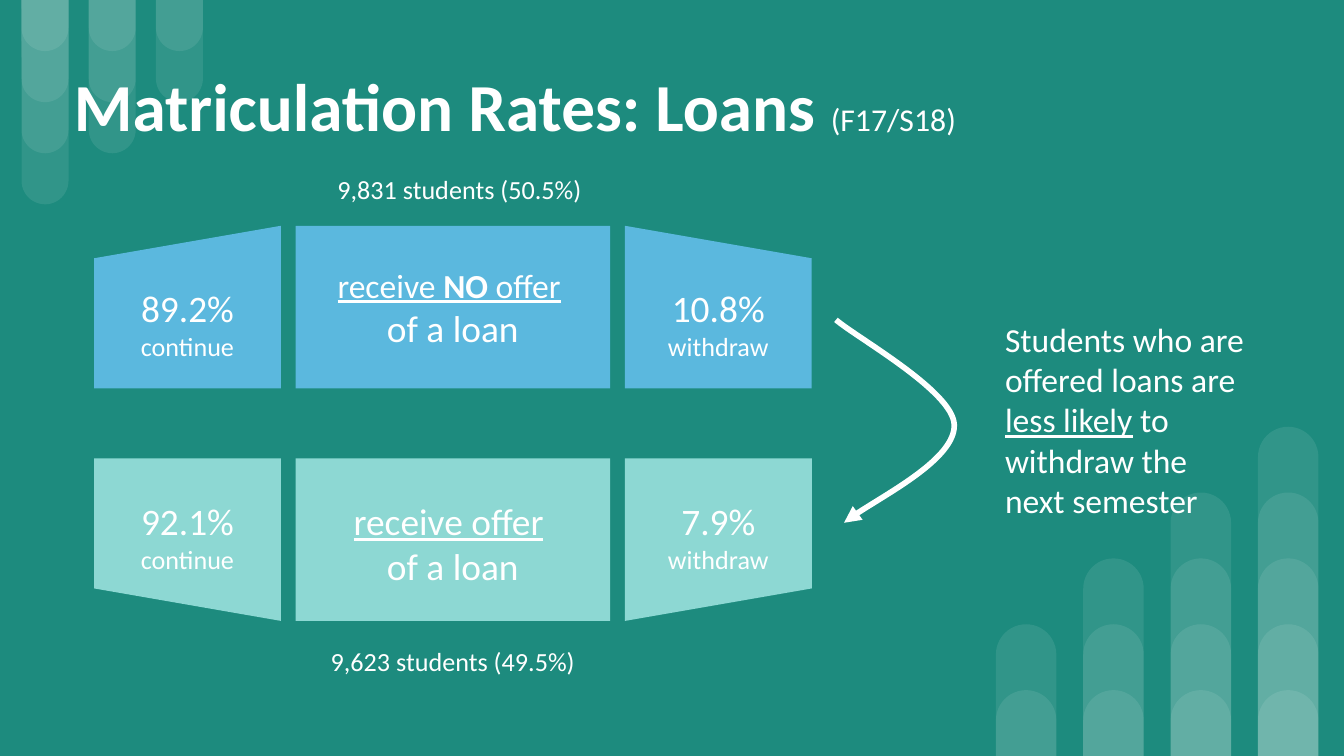
from lxml import etree
from pptx import Presentation
from pptx.dml.color import RGBColor
from pptx.enum import shapes, text
from pptx.oxml import ns
from pptx.util import Inches, Pt

COLORS = {"bg": "1D8B7E", "white": "FFFFFF", "blue": "5BB8DE", "mint": "8DD8D3"}
FONT = "Calibri"
WIDTH = 10
HEIGHT = WIDTH * 9 / 16
LEFT, CENTER = text.PP_ALIGN.LEFT, text.PP_ALIGN.CENTER
TOP, MIDDLE = text.MSO_ANCHOR.TOP, text.MSO_ANCHOR.MIDDLE
SHAPE = shapes.MSO_SHAPE


def rgb(name):
    return RGBColor.from_string(COLORS[name])


def write(sp, paragraphs, align=LEFT, anchor=TOP):
    tf = sp.text_frame
    tf.word_wrap = True
    tf.auto_size = text.MSO_AUTO_SIZE.NONE
    tf.vertical_anchor = anchor
    tf.margin_left = tf.margin_right = tf.margin_top = tf.margin_bottom = Inches(0.1)
    for i, runs in enumerate(paragraphs):
        p = tf.paragraphs[0] if i == 0 else tf.add_paragraph()
        p.alignment = align
        p.space_before = Pt(0)
        for words, size, style in runs:
            r = p.add_run()
            r.text = words
            r.font.name = FONT
            r.font.size = Pt(size)
            r.font.color.rgb = rgb("white")
            r.font.bold = "b" in style
            r.font.underline = "u" in style


def add_text(slide, box, paragraphs, align=LEFT):
    sp = slide.shapes.add_textbox(*map(Inches, box))
    write(sp, paragraphs, align)


def add_block(parent, kind, box, color):
    sp = parent.shapes.add_shape(kind, *map(Inches, box))
    sp.shadow.inherit = False
    sp.fill.solid()
    sp.fill.fore_color.rgb = rgb(color)
    sp.line.fill.background()
    return sp


def add_bars(slide, x, y, width, pitch, step, counts, hanging):
    group = slide.shapes.add_group_shape()
    for col, count in enumerate(counts):
        for n in range(count, 0, -1):
            height = n * step
            top = y if hanging else y - height
            bar = add_block(group, SHAPE.ROUND_2_SAME_RECTANGLE,
                            (x + col * pitch, top, width, height), "white")
            bar.adjustments[0] = 0.5
            bar.rotation = 180 if hanging else 0
            color = bar._element.spPr.find(".//" + ns.qn("a:srgbClr"))
            etree.SubElement(color, ns.qn("a:alpha")).set("val", "9000")


def add_title(slide, box):
    title = slide.shapes.title
    title.left, title.top, title.width, title.height = map(Inches, box)
    write(title, [[("Matriculation Rates: Loans ", 36, "b"), ("(F17/S18)", 17, "")]])
    slide.shapes._spTree.append(title._element)


def rate(percent, outcome):
    return [(percent + " ", 20, ""), (outcome, 14, "")]


def add_rate_row(slide, x, y, color, stay, offer, leave, upside_down=False):
    side, middle, gap, height = 1.39, 2.34, 0.11, 1.21
    middle_x = x + side + gap
    right_x = middle_x + middle + gap
    parts = [
        (SHAPE.FLOWCHART_MANUAL_INPUT, x, side, False, [rate(stay, "continue")]),
        (SHAPE.RECTANGLE, middle_x, middle, False, offer),
        (SHAPE.FLOWCHART_MANUAL_INPUT, right_x, side, True, [rate(leave, "withdraw")]),
    ]
    for kind, left, width, mirrored, paragraphs in parts:
        sp = add_block(slide, kind, (left, y, width, height), color)
        if mirrored != upside_down:
            sp._element.spPr.xfrm.set("flipH", "1")
        if upside_down:
            sp.rotation = 180
            add_text(slide, (left, y + 0.2, width, 0.82), paragraphs, CENTER)
        else:
            write(sp, paragraphs, CENTER, MIDDLE)


def add_curved_arrow(slide, x, y):
    controls = [(0.15, 0.13), (0.87, 0.53), (0.88, 0.78),
                (0.89, 1.03), (0.2, 1.39), (0.06, 1.51)]
    builder = slide.shapes.build_freeform(Inches(x), Inches(y))
    builder.add_line_segments([(Inches(x + dx), Inches(y + dy)) for dx, dy in controls],
                              close=False)
    sp = builder.convert_to_shape()
    sp.shadow.inherit = False
    sp.fill.background()
    sp.line.color.rgb = rgb("white")
    sp.line.width = Pt(3)
    outline = sp._element.find(".//" + ns.qn("a:path"))
    segments = outline.findall(ns.qn("a:lnTo"))
    for start in (0, 3):
        curve = etree.SubElement(outline, ns.qn("a:cubicBezTo"))
        for segment in segments[start:start + 3]:
            curve.append(segment[0])
            outline.remove(segment)
    line = sp._element.spPr.find(ns.qn("a:ln"))
    etree.SubElement(line, ns.qn("a:tailEnd")).set("type", "triangle")


def add_takeaway(slide, box):
    add_text(slide, box, [
        [("Students who are offered loans are", 18, "")],
        [("less likely", 18, "u"), (" to withdraw the", 18, "")],
        [("next semester", 18, "")],
    ])


def main():
    prs = Presentation()
    prs.slide_width, prs.slide_height = Inches(WIDTH), Inches(HEIGHT)
    slide = prs.slides.add_slide(prs.slide_layouts[5])
    slide.background.fill.solid()
    slide.background.fill.fore_color.rgb = rgb("bg")

    add_bars(slide, 0.16, 0, 0.35, 0.5, 0.38, (4, 3, 2), hanging=True)
    add_bars(slide, 7.41, HEIGHT, 0.45, 0.65, 0.49, (2, 3, 4, 5), hanging=False)
    add_title(slide, (0.45, 0.38, 9.1, 0.81))

    add_rate_row(slide, 0.7, 1.68, "blue", "89.2%", [
        [("receive ", 18, "u"), ("NO", 18, "bu"), (" offer", 18, "u"), (" ", 18, "")],
        [("of a loan", 20, "")],
    ], "10.8%")
    add_rate_row(slide, 0.7, 3.41, "mint", "92.1%", [
        [("receive offer", 20, "u"), (" ", 20, "")],
        [("of a loan", 20, "")],
    ], "7.9%", upside_down=True)
    add_text(slide, (2.22, 1.19, 2.4, 0.45), [[("9,831 students (50.5%)", 14, "")]], CENTER)
    add_text(slide, (2.17, 4.7, 2.4, 0.45), [[("9,623 students (49.5%)", 14, "")]], CENTER)

    add_curved_arrow(slide, 6.22, 2.38)
    add_takeaway(slide, (7.38, 2.27, 2.4, 2.04))
    prs.save("out.pptx")


if __name__ == "__main__":
    main()
